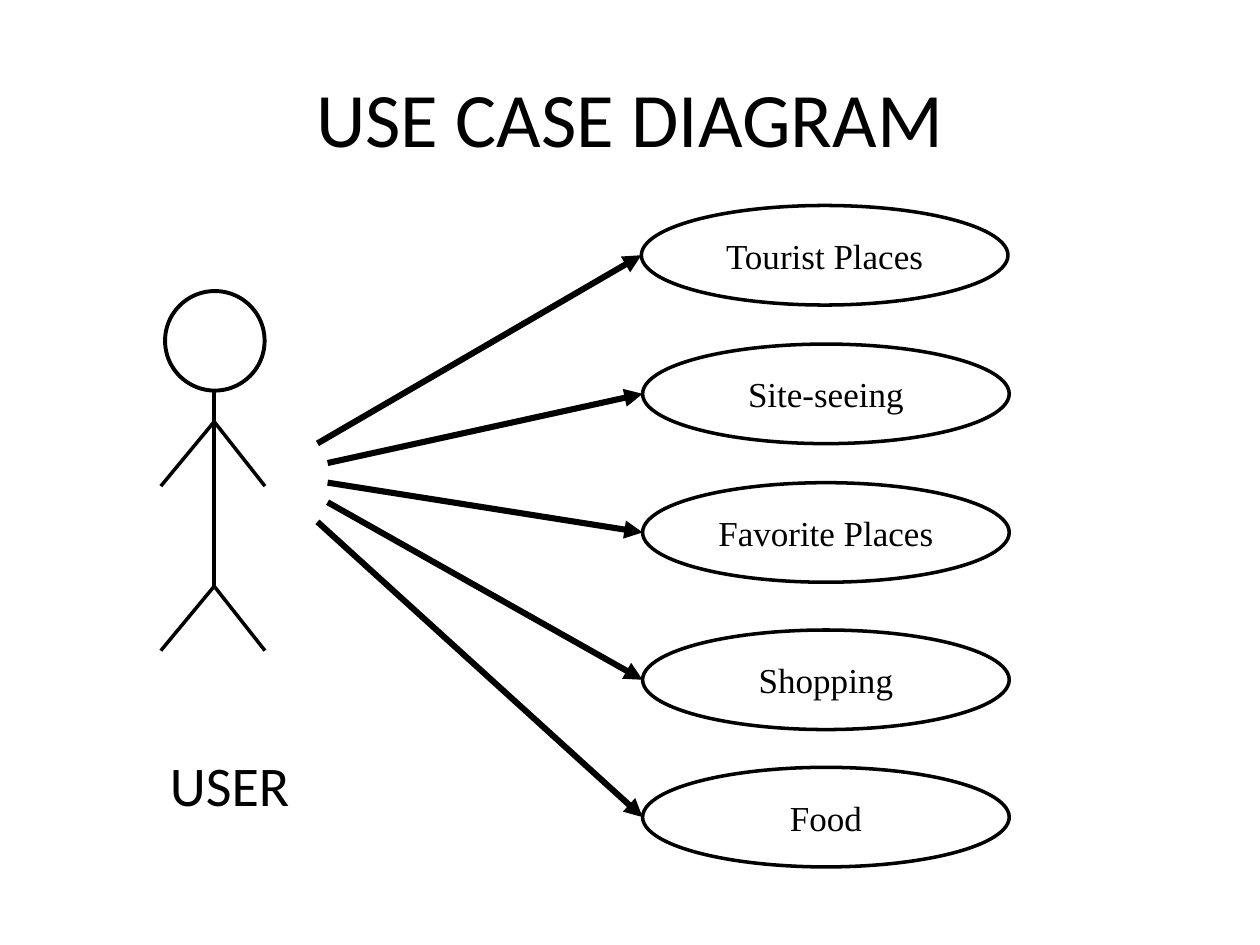
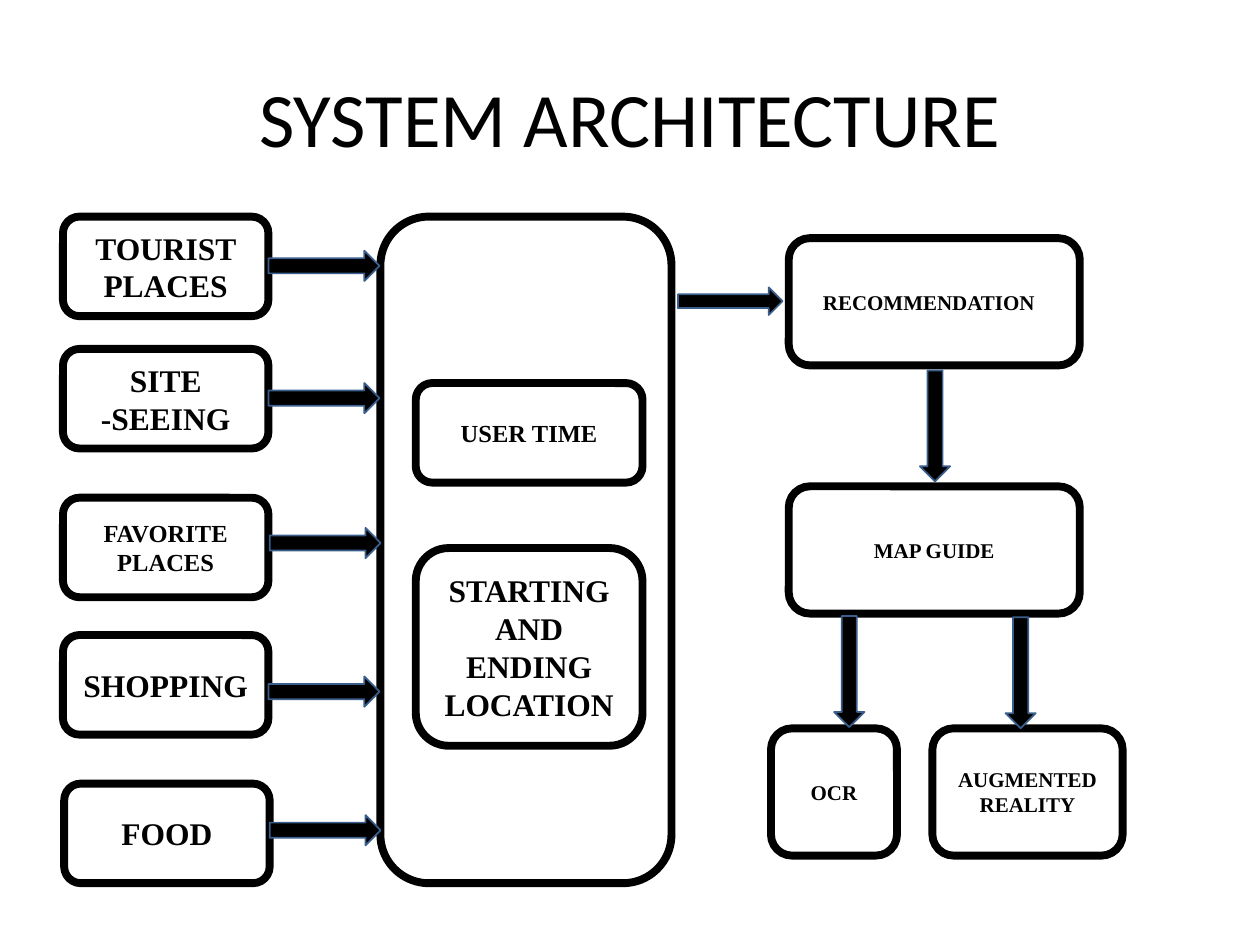
"""Build a use case diagram slide and a system architecture slide."""
from dataclasses import dataclass

import lxml.etree
import pptx
import pptx.dml.color
import pptx.enum.shapes
import pptx.enum.text
import pptx.oxml.ns
import pptx.util

Pt = pptx.util.Pt
Color = pptx.dml.color.RGBColor
Shape = pptx.enum.shapes.MSO_SHAPE
Align = pptx.enum.text.PP_ALIGN
Anchor = pptx.enum.text.MSO_ANCHOR


@dataclass(frozen=True)
class Theme:
    """Colours, fonts, type sizes and line widths of the deck."""
    ink: Color = Color(0, 0, 0)
    paper: Color = Color(255, 255, 255)
    arrow_edge: Color = Color(0x3A, 0x5F, 0x8C)
    heading_font: str = "Calibri"
    label_font: str = "Times New Roman"
    title_size: float = 44
    actor_size: float = 32
    case_size: float = 20
    large_size: float = 18
    medium_size: float = 14
    small_size: float = 12
    head_line: float = 2.25
    thin_line: float = 2
    link_line: float = 3.5
    box_line: float = 4.5
    edge_line: float = 1


@dataclass(frozen=True)
class Box:
    """A rectangle in points."""
    left: float
    top: float
    width: float
    height: float

    def lengths(self) -> tuple:
        """Return the four lengths in slide units."""
        return Pt(self.left), Pt(self.top), Pt(self.width), Pt(self.height)


@dataclass(frozen=True)
class Block:
    """A labelled architecture block."""
    text: str
    box: Box
    size: float
    extra_right: float = 0


@dataclass(frozen=True)
class BlockArrow:
    """A solid arrow; rotation turns it about its centre."""
    box: Box
    rotation: float = 0


THEME = Theme()


def write_text(frame, text: str, *, size: float, font: str = THEME.label_font,
               bold: bool = False, align=Align.CENTER, anchor=Anchor.MIDDLE) -> None:
    """Write one formatted paragraph into a text frame."""
    frame.word_wrap = True
    frame.vertical_anchor = anchor
    para = frame.paragraphs[0]
    para.alignment = align
    span = para.add_run()
    span.text = text
    span.font.name = font
    span.font.size = Pt(size)
    span.font.bold = bold
    span.font.color.rgb = THEME.ink


def add_text_box(page, box: Box, text: str, **text_format):
    """Add a text box and return its text frame."""
    frame = page.shapes.add_textbox(*box.lengths()).text_frame
    write_text(frame, text, **text_format)
    return frame


def add_outline(page, kind, box: Box, width: float):
    """Add an unfilled shape with a black outline."""
    shape = page.shapes.add_shape(kind, *box.lengths())
    shape.shadow.inherit = False
    shape.fill.background()
    shape.line.color.rgb = THEME.ink
    shape.line.width = Pt(width)
    return shape


def add_line(page, start: tuple, end: tuple, width: float, arrow: bool = False) -> None:
    """Draw a straight line, with an arrowhead at its end if asked."""
    line = page.shapes.add_connector(
        pptx.enum.shapes.MSO_CONNECTOR.STRAIGHT, *map(Pt, start + end))
    line.line.color.rgb = THEME.ink
    line.line.width = Pt(width)
    qualified = pptx.oxml.ns.qn
    if arrow:
        lxml.etree.SubElement(line.line._get_or_add_ln(), qualified("a:tailEnd"),
                              type="triangle")
    lxml.etree.SubElement(line._element.spPr, qualified("a:effectLst"))


def add_block(page, block: Block) -> None:
    """Draw a rounded block with a bold label."""
    shape = add_outline(page, Shape.ROUNDED_RECTANGLE, block.box, THEME.box_line)
    write_text(shape.text_frame, block.text, size=block.size, bold=True)
    if block.extra_right:
        shape.text_frame.margin_right += Pt(block.extra_right)


def add_block_arrow(page, arrow: BlockArrow) -> None:
    """Draw a solid arrow with a blue edge."""
    shape = page.shapes.add_shape(Shape.RIGHT_ARROW, *arrow.box.lengths())
    shape.shadow.inherit = False
    shape.rotation = arrow.rotation
    shape.fill.solid()
    shape.fill.fore_color.rgb = THEME.ink
    shape.line.color.rgb = THEME.arrow_edge
    shape.line.width = Pt(THEME.edge_line)


def add_page(deck, title: str):
    """Add a blank page with the shared background and title."""
    page = deck.slides.add_slide(deck.slide_layouts[6])
    page.background.fill.solid()
    page.background.fill.fore_color.rgb = THEME.paper
    add_text_box(page, Box(36, 21.6, 648, 90), title,
                 size=THEME.title_size, font=THEME.heading_font)
    return page


def draw_actor(page) -> None:
    """Draw the stick figure and its caption."""
    center, shoulder, hip = 122.4, 241, 335
    add_outline(page, Shape.OVAL, Box(94.3, 166.3, 56.9, 56.9), THEME.head_line)
    add_line(page, (center, 223.2), (center, hip + 1), THEME.thin_line)
    for joint in (shoulder, hip):
        for reach in (-30.5, 29):
            add_line(page, (center, joint), (center + reach, joint + 36.8),
                     THEME.thin_line)
    caption = add_text_box(page, Box(90, 425.5, 145.4, 46), "USER",
                           size=THEME.actor_size, font=THEME.heading_font,
                           align=Align.LEFT, anchor=Anchor.TOP)
    caption.auto_size = pptx.enum.text.MSO_AUTO_SIZE.SHAPE_TO_FIT_TEXT


def draw_use_cases(deck) -> None:
    """Build the slide that links the user to the five use cases."""
    page = add_page(deck, "USE CASE DIAGRAM")
    draw_actor(page)
    cases = (
        ("Tourist Places", 366.5, 117.4, 181.4),
        ("Site-seeing", 367.2, 196.6, 187.2),
        ("Favorite Places", 367.2, 275.8, 187.2),
        ("Shopping", 367.2, 360, 187.2),
        ("Food", 367.2, 438.5, 181.4),
    )
    for index, (text, left, top, start) in enumerate(cases):
        box = Box(left, top, 209.5, 56.9)
        oval = add_outline(page, Shape.OVAL, box, THEME.thin_line)
        write_text(oval.text_frame, text, size=THEME.case_size)
        add_line(page, (start, 253.4 + 11.2 * index), (left, top + box.height / 2),
                 THEME.link_line, arrow=True)


def draw_architecture(deck) -> None:
    """Build the slide that shows inputs, planner and outputs."""
    page = add_page(deck, "SYSTEM ARCHITECTURE")
    large, medium, small = THEME.large_size, THEME.medium_size, THEME.small_size
    inputs = (
        ("TOURIST PLACES", 36, 123.8, large, 153.4, 143.3),
        ("SITE -SEEING", 36, 199.4, large, 153.4, 218.9),
        ("FAVORITE PLACES", 36, 284.4, medium, 154.1, 301.7),
        ("SHOPPING", 36, 362.9, large, 153.4, 386.6),
        ("FOOD", 36.7, 447.8, large, 154.1, 465.8),
    )
    blocks = [Block(text, Box(left, top, 117.4, 56.9), size)
              for text, left, top, size, _, _ in inputs]
    blocks += [
        Block("USER TIME", Box(237.6, 218.9, 129.6, 56.9), medium),
        Block("STARTING AND ENDING LOCATION", Box(237.6, 313.2, 129.6, 113), large),
        Block("RECOMMENDATION", Box(450.7, 136.1, 166.3, 72.7), small, extra_right=6),
        Block("MAP GUIDE", Box(450.7, 277.9, 166.3, 72.7), small),
        Block("OCR", Box(440.6, 416.2, 72, 72.7), small),
        Block("AUGMENTED REALITY", Box(532.8, 416.2, 108.7, 72.7), small),
    ]
    arrows = [BlockArrow(Box(left, top, 63.4, 17.3))
              for _, _, _, _, left, top in inputs]
    arrows.append(BlockArrow(Box(387.4, 164.2, 59.8, 15.8)))
    arrows += [BlockArrow(Box(left, top, 63.4, 17.3), 90)
               for left, top in ((502.6, 234.7), (453.6, 375.1), (551.5, 375.8))]

    add_outline(page, Shape.ROUNDED_RECTANGLE, Box(217.4, 123.8, 166.3, 380.9),
                THEME.box_line)
    for block in blocks:
        add_block(page, block)
    for arrow in arrows:
        add_block_arrow(page, arrow)


def main() -> None:
    """Create the deck and save it."""
    deck = pptx.Presentation()
    deck.slide_width, deck.slide_height = Pt(720), Pt(540)
    draw_use_cases(deck)
    draw_architecture(deck)
    deck.save("out.pptx")


main()
